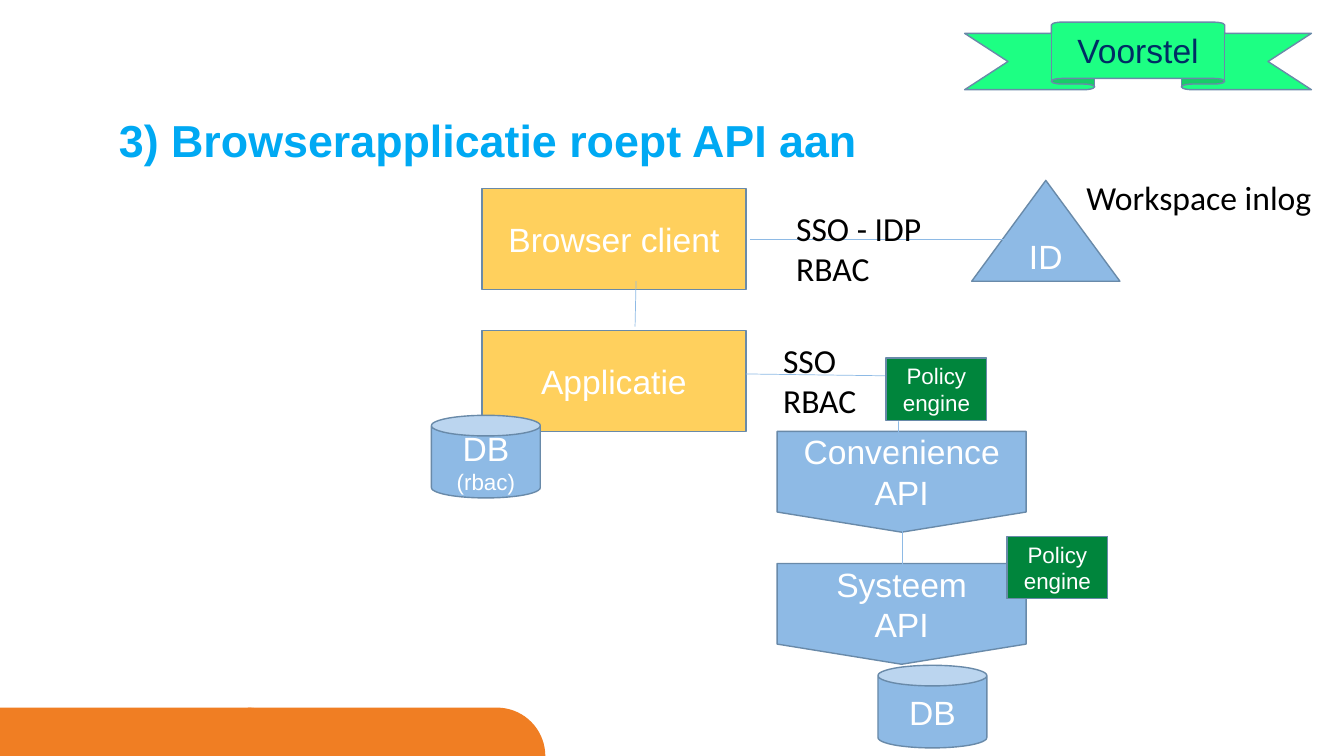
import math

from pptx import Presentation
from pptx.dml.color import RGBColor
from pptx.enum.shapes import MSO_CONNECTOR, MSO_SHAPE
from pptx.enum.text import MSO_ANCHOR, PP_ALIGN
from pptx.oxml.ns import qn
from pptx.util import Inches, Pt

RECT, CAN, TRIANGLE = MSO_SHAPE.RECTANGLE, MSO_SHAPE.CAN, MSO_SHAPE.ISOSCELES_TRIANGLE
API, RIBBON = MSO_SHAPE.FLOWCHART_OFFPAGE_CONNECTOR, MSO_SHAPE.UP_RIBBON
STRAIGHT = MSO_CONNECTOR.STRAIGHT
MIDDLE, TOP = MSO_ANCHOR.MIDDLE, MSO_ANCHOR.TOP
CENTER, LEFT = PP_ALIGN.CENTER, PP_ALIGN.LEFT

THEME = {
    "title": "00A9F3", "app": "FFD05D", "service": "8EBAE5", "policy": "00853C",
    "ribbon": "1DFF83", "footer": "F07E23", "outline": "698AA9",
    "light": "FFFFFF", "dark": "000000", "navy": "002C64",
    "font": "Arial", "label_font": "Calibri",
    "title_size": 32, "body_size": 24, "small_size": 16,
}
CELL = Inches(0.1)  # the slide is a grid of square cells
COLS, ROWS = 133.33, 75


def cells(*counts):
    return [round(n * CELL) for n in counts]


def write(s, lines, color, align=CENTER, anchor=MIDDLE, font=THEME["font"]):
    """Fill a shape with (text, size) lines, one paragraph each."""
    tf = s.text_frame
    tf.word_wrap = True
    tf.vertical_anchor = anchor
    for i, (text, size) in enumerate(lines):
        p = tf.add_paragraph() if i else tf.paragraphs[0]
        p.alignment = align
        r = p.add_run()
        r.text = text
        r.font.name, r.font.size = font, Pt(THEME[size])
        r.font.color.rgb = RGBColor.from_string(THEME[color])
    return tf


prs = Presentation()
prs.slide_width, prs.slide_height = cells(COLS, ROWS)
slide = prs.slides.add_slide(prs.slide_layouts[6])
shapes = slide.shapes

# Footer: two overlapping tabs, each with a rounded top right corner
FOOTER_TOP, RADIUS = 70.2, 4.8
for left, right in ((0, 29.4), (24.6, 54.1)):
    arc = [(right - RADIUS + RADIUS * math.sin(math.radians(a)),
            ROWS - RADIUS * math.cos(math.radians(a))) for a in range(0, 91, 5)]
    outline = [cells(*point) for point in [(left, FOOTER_TOP)] + arc]
    builder = shapes.build_freeform(*cells(left, ROWS))
    builder.add_line_segments(outline, close=True)
    tab = builder.convert_to_shape()
    tab.shadow.inherit = False
    tab.fill.solid()
    tab.fill.fore_color.rgb = RGBColor.from_string(THEME["footer"])
    tab.line.fill.background()

# Title
title = shapes.add_textbox(*cells(11.8, 11.8, 109.7, 7.9))
tf = write(title, [("3) Browserapplicatie roept API aan", "title_size")], "title", LEFT, TOP)
tf.margin_left = tf.margin_right = tf.margin_top = tf.margin_bottom = 0
tf.paragraphs[0].line_spacing = 0.9
tf.paragraphs[0].runs[0].font.bold = True

# Connectors follow the components; the policy engines and ribbon lie on top
APP_SIZE, API_SIZE, DB_SIZE, POLICY_SIZE = (26.2, 10), (24.7, 10), (10.8, 8.2), (10, 6.2)
API_LINE = ("API", "body_size")
DB_LINE = ("DB", "body_size")
POLICY_LINES = [("Policy", "small_size"), ("engine", "small_size")]
components = [
    (RECT, (47.8, 32.8), APP_SIZE, "app", "light", [("Applicatie", "body_size")]),
    (RECT, (47.8, 18.7), APP_SIZE, "app", "light", [("Browser client", "body_size")]),
    (API, (77.1, 42.8), API_SIZE, "service", "light", [("Convenience", "body_size"), API_LINE]),
    (API, (77.1, 55.9), API_SIZE, "service", "light", [("Systeem", "body_size"), API_LINE]),
    (CAN, (87.1, 66), DB_SIZE, "service", "light", [DB_LINE]),
    (CAN, (42.8, 41.2), DB_SIZE, "service", "light", [DB_LINE, ("(rbac)", "small_size")]),
    (TRIANGLE, (96.4, 17.9), (14.7, 10), "service", "light", [("ID", "body_size")]),
]
overlays = [
    (RECT, (87.9, 35.5), POLICY_SIZE, "policy", "light", POLICY_LINES),
    (RECT, (99.9, 53.2), POLICY_SIZE, "policy", "light", POLICY_LINES),
    (RIBBON, (95.7, 2.2), (34.4, 6.7), "ribbon", "navy", [("Voorstel", "body_size")]),
]
connectors = [
    (74, 37.1, 89.3, 37.3),
    (89.1, 46.1, 89.2, 37.3),
    (63, 32.4, 63.1, 27.9),
    (74.4, 23.7, 99.6, 23.7),
    (89.5, 56.7, 89.5, 52.2),
]
labels = [
    ((106.8, 17.1, 24.8, 5.1), ["Workspace inlog"]),
    ((78, 20.1, 17.7, 9.1), ["SSO - IDP", "RBAC"]),
    ((76.7, 33.2, 13.4, 9.1), ["SSO", "RBAC"]),
]

for layer in (components, overlays):
    for kind, position, size, fill, color, lines in layer:
        s = shapes.add_shape(kind, *cells(*position, *size))
        s.shadow.inherit = False
        s.fill.solid()
        s.fill.fore_color.rgb = RGBColor.from_string(THEME[fill])
        s.line.color.rgb = RGBColor.from_string(THEME["outline"])
        s.line.width = Pt(1)
        write(s, lines, color)

    if layer is components:
        for ends in connectors:
            link = shapes.add_connector(STRAIGHT, *cells(*ends))
            link.line.color.rgb = RGBColor.from_string(THEME["service"])
            link.line.width = Pt(0.5)
            sp_pr = link._element.spPr
            sp_pr.append(sp_pr.makeelement(qn("a:effectLst"), {}))
        for box, texts in labels:
            label = shapes.add_textbox(*cells(*box))
            write(label, [(text, "body_size") for text in texts], "dark",
                  LEFT, TOP, THEME["label_font"])

prs.save("out.pptx")
